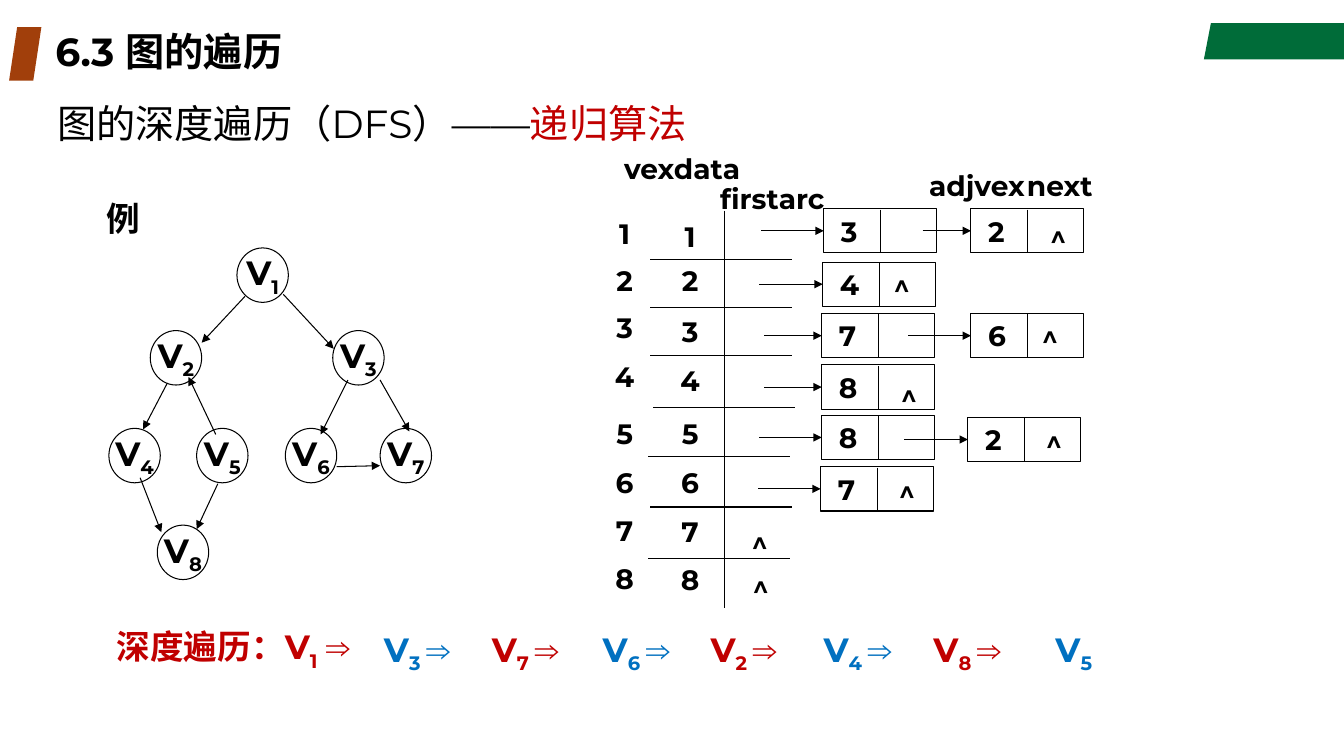
import pptx
import pptx.util
import pptx.dml.color
import pptx.enum.shapes
import pptx.enum.text
import pptx.oxml
import pptx.oxml.ns

PX = 9144  # 100 px to the inch
FONT = "Montserrat"
SERIF = "Times New Roman"
INK = {"black": "000000", "red": "C00000", "blue": "0070C0",
       "green": "006C39", "rust": "A13F0B"}
KIND = pptx.enum.shapes.MSO_SHAPE
ALIGN = pptx.enum.text.PP_ALIGN
ANCHOR = pptx.enum.text.MSO_ANCHOR
FIT = pptx.enum.text.MSO_AUTO_SIZE


def emu(*nums):
    return [pptx.util.Emu(n * PX) for n in nums]


def tint(name):
    return pptx.dml.color.RGBColor.from_string(INK[name])


def element(tag):
    return pptx.oxml.parse_xml(f"<{tag} {pptx.oxml.ns.nsdecls('a')}/>")


def write(frame, runs, size, bold=True, align=ALIGN.CENTER, anchor=ANCHOR.MIDDLE, wrap=False):
    """Fill a frame with runs of (text, colour, subscript, font)."""
    frame.word_wrap = wrap
    frame.vertical_anchor = anchor
    para = frame.paragraphs[0]
    para.alignment = align
    for text, color, sub, face in runs:
        run = para.add_run()
        run.text = text
        run.font.size = pptx.util.Pt(size)
        run.font.bold = bold
        run.font.name = face
        run.font.color.rgb = tint(color)
        props = run.font._element
        asian = element("a:ea")
        asian.set("typeface", face)
        props.append(asian)
        if sub:
            props.set("baseline", "-25000")
    return para


def plain(text, color="black"):
    return (text, color, False, FONT)


def label(slide, box, runs, size=20, **style):
    shape = slide.shapes.add_textbox(*emu(*box))
    para = write(shape.text_frame, runs, size, **style)
    shape.text_frame.auto_size = FIT.SHAPE_TO_FIT_TEXT
    return para


def block(slide, kind, box, fill=None):
    shape = slide.shapes.add_shape(kind, *emu(*box))
    shape.shadow.inherit = False
    if fill:
        shape.fill.solid()
        shape.fill.fore_color.rgb = tint(fill)
        shape.line.fill.background()
    else:
        shape.fill.background()
        shape.line.color.rgb = tint("black")
        shape.line.width = pptx.util.Pt(0.75)
    return shape


def stroke(slide, x1, y1, x2, y2, arrow=False):
    line = slide.shapes.add_connector(
        pptx.enum.shapes.MSO_CONNECTOR.STRAIGHT, *emu(x1, y1, x2, y2))
    line.line.color.rgb = tint("black")
    line.line.width = pptx.util.Pt(0.75)
    if arrow:
        tail = element("a:tailEnd")
        tail.set("type", "triangle")
        line.line._get_or_add_ln().append(tail)
    line._element.spPr.append(element("a:effectLst"))
    return line


def header(slide, x, y):
    pen = slide.shapes.build_freeform(x + 1201, y + 23, scale=PX)
    pen.add_line_segments([(x + 1333, y + 23), (x + 1333, y + 59), (x + 1194, y + 59)])
    band = pen.convert_to_shape()
    band.shadow.inherit = False
    band.fill.solid()
    band.fill.fore_color.rgb = tint("green")
    band.line.fill.background()
    block(slide, KIND.PARALLELOGRAM, (x + 9, y + 27, 32, 53), "rust")
    title = label(slide, (x + 45, y + 27, 945, 53), [plain("6.3 图的遍历")], 28,
                  align=ALIGN.LEFT, wrap=True)
    topic = label(slide, (x + 47, y + 99, 1150, 53),
                  [plain("图的深度遍历（DFS）——"), plain("递归算法", "red")], 28,
                  bold=False, align=ALIGN.LEFT, anchor=ANCHOR.TOP, wrap=True)
    title.line_spacing = topic.line_spacing = 0.9


def graph(slide, x, y):
    label(slide, (x - 5, y - 9, 54, 50), [plain("例")], 24)
    spots = [(135, 46), (49, 128), (230, 128), (8, 225),
             (95, 225), (183, 225), (277, 225), (56, 321)]
    for num, (dx, dy) in enumerate(spots, 1):
        node = block(slide, KIND.OVAL, (x + dx, y + dy, 51, 54))
        write(node.text_frame, [plain("V"), (str(num), "black", True, FONT)], 24)
    for x1, y1, x2, y2 in [
            (143, 94, 100, 140), (181, 92, 231, 146), (66, 180, 42, 226),
            (114, 231, 87, 174), (39, 274, 60, 328), (116, 280, 95, 325),
            (245, 177, 218, 231), (234, 263, 277, 262), (277, 177, 306, 228)]:
        stroke(slide, x + x1, y + y1, x + x2, y + y2, True)


def mark(slide, x, y, text="^"):
    label(slide, (x, y, 39, 44), [plain(text)])


def cell(slide, x, y, num, tail, nil):
    """A list node, the arrow that reaches it and its end mark."""
    rect = block(slide, KIND.RECTANGLE, (x, y, 112, 44))
    rect.text_frame.margin_left = pptx.util.Emu(17 * PX)
    write(rect.text_frame, [plain(num)], 20, align=ALIGN.LEFT, wrap=True)
    stroke(slide, x + 56, y + 1, x + 56, y + 44)
    arrow = stroke(slide, x - tail, y + 22, x, y + 22, True)
    arrow.end_connect(rect, 1)
    if nil:
        mark(slide, x + nil[0], y + nil[1])


def lists(slide, x, y):
    for text, dx, dy, wide in [("vexdata", 6, 0, 141), ("firstarc", 99, 30, 134),
                               ("adjvex", 309, 17, 120), ("next", 407, 17, 88)]:
        label(slide, (x + dx, y + dy, wide, 44), [plain(text)])
    stroke(slide, x + 119, y + 64, x + 119, y + 458)
    for dx, dy in [(45, 112), (45, 160), (45, 208), (48, 259),
                   (43, 308), (45, 358), (43, 409)]:
        stroke(slide, x + dx, y + dy, x + dx + 141, y + dy)
    tops = [(64, 67), (111, 111), (158, 162), (206, 210),
            (263, 263), (311, 311), (359, 360), (407, 408)]
    for num, (left, right) in enumerate(tops, 1):
        mark(slide, x, y + left, str(num))
        mark(slide, x + 65, y + right, str(num))
    for dx, dy, num, tail, nil in [
            (217, 62, "3", 62, None), (363, 62, "2", 48, (67, 5)),
            (216, 115, "4", 63, (59, 1)),
            (215, 166, "7", 57, None), (363, 166, "6", 62, (59, 1)),
            (215, 217, "8", 57, (67, 8)),
            (215, 267, "8", 62, None), (360, 269, "2", 63, (66, 2)),
            (214, 318, "7", 62, (66, 2))]:
        cell(slide, x + dx, y + dy, num, tail, nil)
    mark(slide, x + 134, y + 371)
    mark(slide, x + 135, y + 415)


def order(slide, x, y):
    stops = [("1", 0, 279), ("3", 265, 106), ("7", 372, 118), ("6", 482, 106),
             ("2", 589, 127), ("4", 701, 103), ("8", 810, 106), ("5", 931, 61)]
    for step, (num, dx, wide) in enumerate(stops):
        color = ("red", "blue")[step % 2]
        first, last = step == 0, step == len(stops) - 1
        runs = [plain("深度遍历：V" if first else "V", color),
                (num if first or last else num + " ", color, True, FONT)]
        if not last:
            runs.append((" ⇒" if first else "⇒", color, False, SERIF))
        label(slide, (x + dx, y, wide, 50), runs, 24, align=ALIGN.LEFT,
              anchor=ANCHOR.MIDDLE if first else ANCHOR.TOP)


def main():
    deck = pptx.Presentation()
    deck.slide_width, deck.slide_height = emu(1333, 750)
    slide = deck.slides.add_slide(deck.slide_layouts[6])
    header(slide, 0, 0)
    graph(slide, 100, 200)
    lists(slide, 600, 145)
    order(slide, 106, 619)
    deck.save("out.pptx")


if __name__ == "__main__":
    main()
